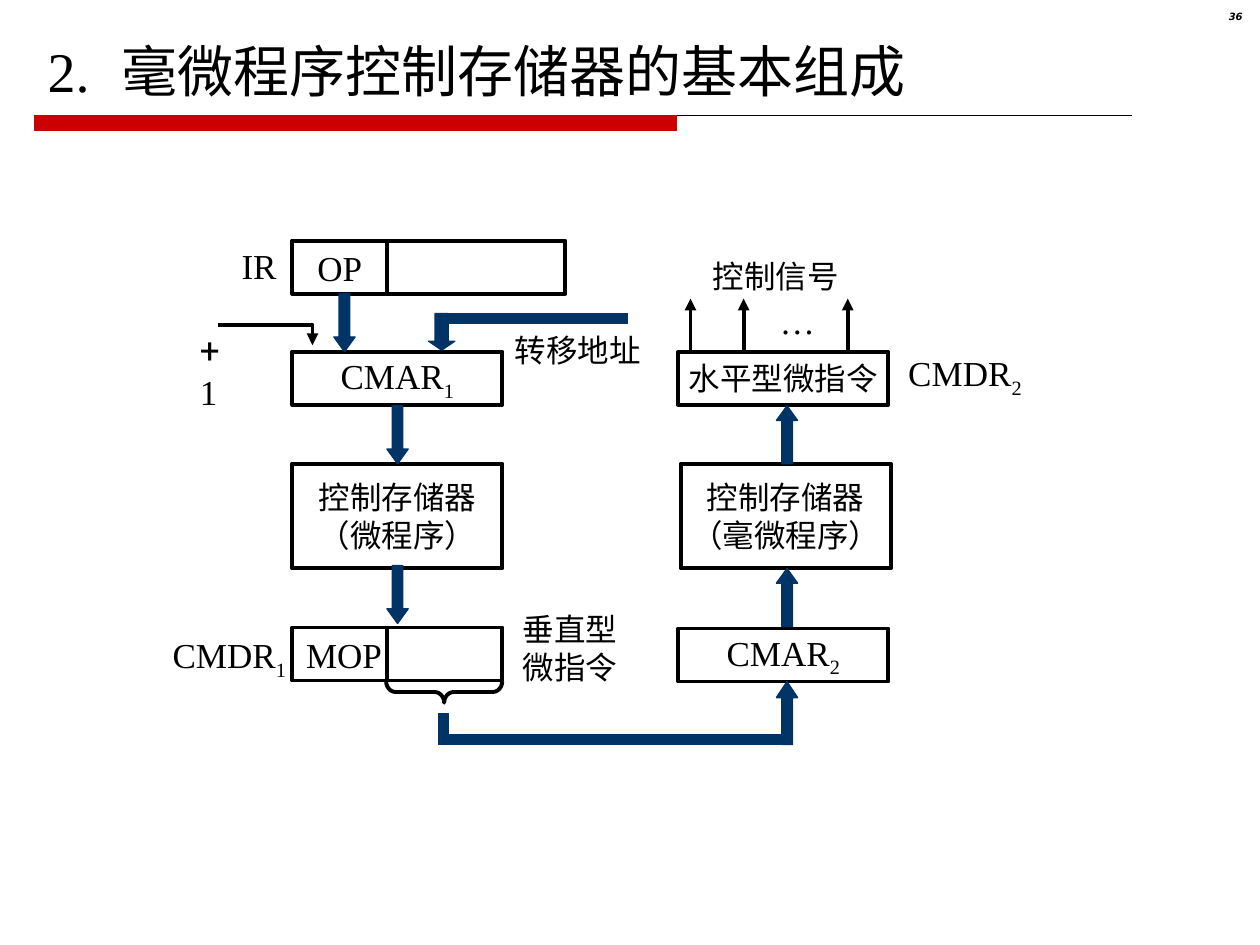
from lxml import etree
from pptx import Presentation
from pptx.dml.color import RGBColor
from pptx.enum.shapes import MSO_CONNECTOR, MSO_SHAPE
from pptx.enum.text import MSO_ANCHOR, PP_ALIGN
from pptx.oxml.ns import qn
from pptx.util import Cm, Pt

RECT, DOWN, BRACE = MSO_SHAPE.RECTANGLE, MSO_SHAPE.DOWN_ARROW, MSO_SHAPE.LEFT_BRACE
STRAIGHT = MSO_CONNECTOR.STRAIGHT
LEFT, MID, RIGHT = PP_ALIGN.LEFT, PP_ALIGN.CENTER, PP_ALIGN.RIGHT
CENTRE = MSO_ANCHOR.MIDDLE

ROMAN, SANS, PLUS = "Times New Roman", "DejaVu Sans", "Roboto"
BLACK, NAVY, RED = "000000", "003366", "CC0000"
COL1, COL2 = 5.89, 13.67
WIDE, LOW, TALL = 4.24, 1.07, 2.11
SPLIT = 7.8

TITLE = [("2.", 32), ("　", 18), ("毫微程序控制存储器的基本组成", 32, SANS)]

BOXES = [
    (COL1, 4.85, 5.51, LOW, []),
    (COL1, 7.09, WIDE, LOW, [[("CMAR", 20), ("1", 20, ROMAN, True)]]),
    (COL1, 9.35, WIDE, TALL, [[("控制存储器", 18)], [("（微程序）", 18)]]),
    (COL1, 12.65, WIDE, LOW, []),
    (COL2, 7.09, WIDE, LOW, [[("水平型微指令", 18)]]),
    (COL2 + 0.05, 9.35, WIDE, TALL, [[("控制存储器", 18)], [("（毫微程序）", 18)]]),
    (COL2, 12.67, WIDE, LOW, [[("CMAR", 20), ("2", 20, ROMAN, True)]]),
]

LABELS = [
    (0.71, 0.61, 20.4, 1.63, [TITLE]),
    (4.62, 4.8, 1.22, 1.12, [[("IR", 20)]]),
    (6.15, 4.85, 1.65, 1.12, [[("OP", 20)]]),
    (10.13, 6.55, 3.05, 1.02, [[("转移地址", 18)]]),
    (3.23, 12.65, 2.79, 1.22, [[("CMDR", 20), ("1", 20, ROMAN, True)]]),
    (5.92, 12.65, 2.3, 1.12, [[("MOP", 20)]]),
    (10.29, 12.17, 2.41, 1.78, [[("垂直型", 18)], [("微指令", 18)]]),
    (14.12, 5.05, 3.05, 1.02, [[("控制信号", 18)]]),
    (15.47, 5.92, 1.22, 1.12, [[("…", 20)]]),
    (18.06, 6.96, 2.79, 1.22, [[("CMDR", 20), ("2", 20, ROMAN, True)]]),
]
STEP = (3.78, 6.5, 1.3, 1.12, [[("+", 20, PLUS), (" 1", 20)]])

ARROWS = [
    (6.73, 5.92, 0.43, 1.17, 0.69, 0),
    (SPLIT, 8.18, 0.43, 1.17, 0.69, 0),
    (SPLIT, 11.4, 0.43, 1.17, 0.69, 0),
    (8.64, 6.32, 0.53, 0.74, 0.34, 0),
    (15.65, 8.18, 0.43, 1.17, 0.69, 180),
    (15.65, 11.46, 0.43, 1.17, 0.69, 180),
    (15.65, 13.74, 0.43, 1.27, 0.75, 180),
]
BARS = [(8.84, 6.32, 3.81, 0.2), (8.84, 14.38, 0.2, 0.63), (8.84, 14.81, 6.99, 0.2)]
CUTS = [4.85, 12.65]
PINS = [13.92, 14.99, 17.09]
ELBOW = [(4.39, 6.55), (6.3, 6.55), (6.3, 6.96)]


def tint(code):
    return RGBColor.from_string(code)


def write(frame, paras, align=LEFT, wrap=False):
    frame.word_wrap = wrap
    for i, runs in enumerate(paras):
        para = frame.paragraphs[0] if i == 0 else frame.add_paragraph()
        para.alignment = align
        for text, size, face, sub in (r + (ROMAN, False)[len(r) - 2:] for r in runs):
            run = para.add_run()
            run.text = text
            font = run.font
            font.size, font.name = Pt(size), face
            font.color.rgb = tint(BLACK)
            if sub:
                font._element.set("baseline", "-25000")


def shape(kind, x, y, w, h, fill=None, line=BLACK, width=2.25):
    item = slide.shapes.add_shape(kind, Cm(x), Cm(y), Cm(w), Cm(h))
    paint(item, fill, line, width)
    return item


def paint(item, fill, line, width):
    item.shadow.inherit = False
    if fill:
        item.fill.solid()
        item.fill.fore_color.rgb = tint(fill)
    else:
        item.fill.background()
    item.line.color.rgb = tint(line)
    item.line.width = Pt(width)


def label(x, y, w, h, paras, align=LEFT, wrap=False):
    box = slide.shapes.add_textbox(Cm(x), Cm(y), Cm(w), Cm(h))
    write(box.text_frame, paras, align, wrap)
    return box


def rule(x1, y1, x2, y2, width=2.25):
    item = slide.shapes.add_connector(STRAIGHT, Cm(x1), Cm(y1), Cm(x2), Cm(y2))
    item.line.color.rgb = tint(BLACK)
    item.line.width = Pt(width)
    etree.SubElement(item._element.spPr, qn("a:effectLst"))
    return item


def point(item):
    etree.SubElement(item.line._get_or_add_ln(), qn("a:tailEnd"), type="triangle")


deck = Presentation()
deck.slide_width, deck.slide_height = Cm(25.4), Cm(19.05)
slide = deck.slides.add_slide(deck.slide_layouts[6])

rule(0.69, 2.33, 22.81, 2.33, 0.75)
shape(RECT, 0.69, 2.33, 12.95, 0.3, RED, RED, 0.75)

page = label(23.8, 0.13, 1.5, 0.58, [[("36", 5.7, SANS)]], RIGHT, True)
para = page.text_frame.paragraphs[0]
para.line_spacing = 0.8
para.runs[0].font.bold = para.runs[0].font.italic = True

for x, y, w, h, paras in BOXES:
    frame = shape(RECT, x, y, w, h).text_frame
    frame.vertical_anchor = CENTRE
    write(frame, paras, MID)

for y in CUTS:
    rule(SPLIT, y, SPLIT, y + LOW)

for x, y, w, h, head, turn in ARROWS:
    arrow = shape(DOWN, x, y, w, h, NAVY, NAVY, 0.75)
    arrow.adjustments[0], arrow.adjustments[1] = 0.5, head
    arrow.rotation = turn

for bar in BARS:
    shape(RECT, *bar, NAVY, NAVY, 0.75)

brace = shape(BRACE, 8.74, 12.78, 0.43, 2.34)
brace.adjustments[0], brace.adjustments[1] = 0.45, 0.5
brace.rotation = 270

for x in PINS:
    point(rule(x, 7.06, x, 6.02))

start, *rest = [(Cm(x), Cm(y)) for x, y in ELBOW]
path = slide.shapes.build_freeform(*start)
path.add_line_segments(rest, close=False)
bend = path.convert_to_shape()
paint(bend, None, BLACK, 2.25)
point(bend)

for item in LABELS:
    label(*item)
label(*STEP, wrap=True)

deck.save("out.pptx")
